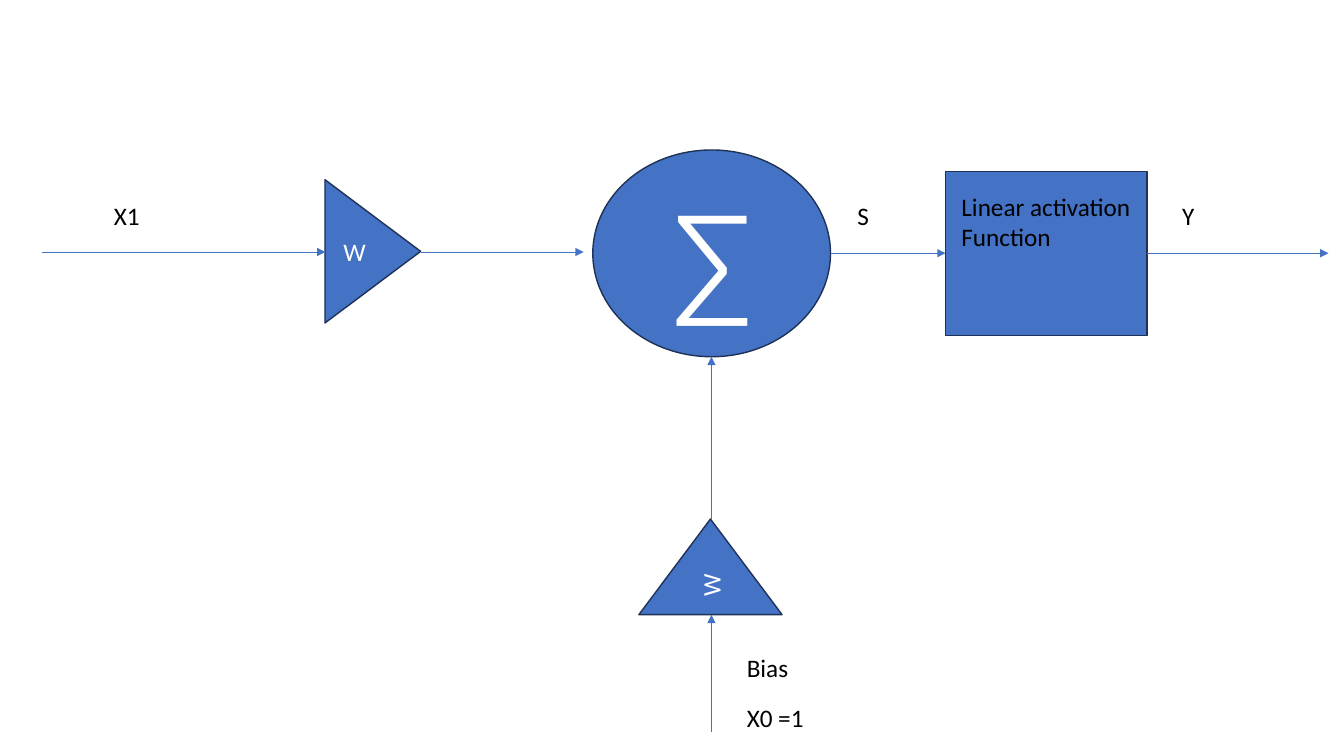
from pptx import Presentation
from pptx import util as u
from pptx.dml import color
from pptx.enum import shapes, text
from pptx.oxml import ns
from lxml import etree

Cm = u.Cm
HUES = {"blue": "4472C4", "edge": "1E3256", "white": "FFFFFF", "black": "000000"}


def hue(name):
    return color.RGBColor.from_string(HUES[name])


def write(shape, words, size, font, tint):
    frame = shape.text_frame
    frame.word_wrap = True
    frame.text = words
    for run in frame.paragraphs[0].runs:
        run.font.size = u.Pt(size)
        run.font.name = font
        run.font.color.rgb = hue(tint)
    return frame


deck = Presentation()
deck.slide_width, deck.slide_height = Cm(33.87), Cm(19.05)
slide = deck.slides.add_slide(deck.slide_layouts[6])
kind = shapes.MSO_SHAPE

# Nodes: sum, two weights, activation
nodes = [
    (kind.OVAL, 14.94, 3.78, 5.99, 5.21, 0, "∑", 88, "Montserrat"),
    (kind.ISOSCELES_TRIANGLE, 7.59, 5.13, 3.61, 2.41, 90, "W", 18, "Calibri"),
    (kind.RECTANGLE, 23.83, 4.32, 5.08, 4.14, 0, "", 18, "Calibri"),
    (kind.ISOSCELES_TRIANGLE, 16.1, 13.08, 3.61, 2.41, 0, "W", 18, "Calibri"),
]
for form, x, y, wide, high, turn, words, size, font in nodes:
    node = slide.shapes.add_shape(form, Cm(x), Cm(y), Cm(wide), Cm(high))
    node.rotation = turn
    node.shadow.inherit = False
    node.fill.solid()
    node.fill.fore_color.rgb = hue("blue")
    node.line.color.rgb = hue("edge")
    node.line.width = u.Pt(1)
    frame = write(node, words, size, font, "white")
    frame.vertical_anchor = text.MSO_ANCHOR.MIDDLE
    para = frame.paragraphs[0]
    para.alignment = text.PP_ALIGN.CENTER
    if form == kind.ISOSCELES_TRIANGLE:
        # Upward text with a small indent
        frame._txBody.bodyPr.set("vert", "vert270")
        para._p.get_or_add_pPr().set("marL", str(u.Pt(8)))

# Arrows
arrows = [
    (1.07, 6.35, 8.2, 6.35),
    (10.62, 6.35, 14.71, 6.35),
    (20.93, 6.38, 23.83, 6.38),
    (28.91, 6.38, 33.48, 6.38),
    (17.93, 13.08, 17.93, 8.99),
    (17.93, 18.44, 17.93, 15.49),
]
for ends in arrows:
    arrow = slide.shapes.add_connector(
        shapes.MSO_CONNECTOR.STRAIGHT, *[Cm(end) for end in ends])
    arrow.line.color.rgb = hue("blue")
    arrow.line.width = u.Pt(0.5)
    tip = etree.SubElement(arrow.line._get_or_add_ln(), ns.qn("a:tailEnd"))
    tip.set("type", "triangle")
    etree.SubElement(arrow._element.spPr, ns.qn("a:effectLst"))

# Labels
labels = [
    ("X1", 2.62, 4.93, 7.54, 1.02),
    ("S", 21.36, 4.93, 2.46, 1.02),
    ("Y", 29.54, 4.93, 2.74, 1.02),
    ("Bias", 18.57, 16.31, 2.77, 1.02),
    ("X0 =1", 18.57, 17.58, 5.54, 1.02),
    ("Linear activation\vFunction", 23.98, 4.7, 5.05, 1.8),
]
for words, x, y, wide, high in labels:
    label = slide.shapes.add_textbox(Cm(x), Cm(y), Cm(wide), Cm(high))
    write(label, words, 18, "Calibri", "black")

deck.save("out.pptx")
